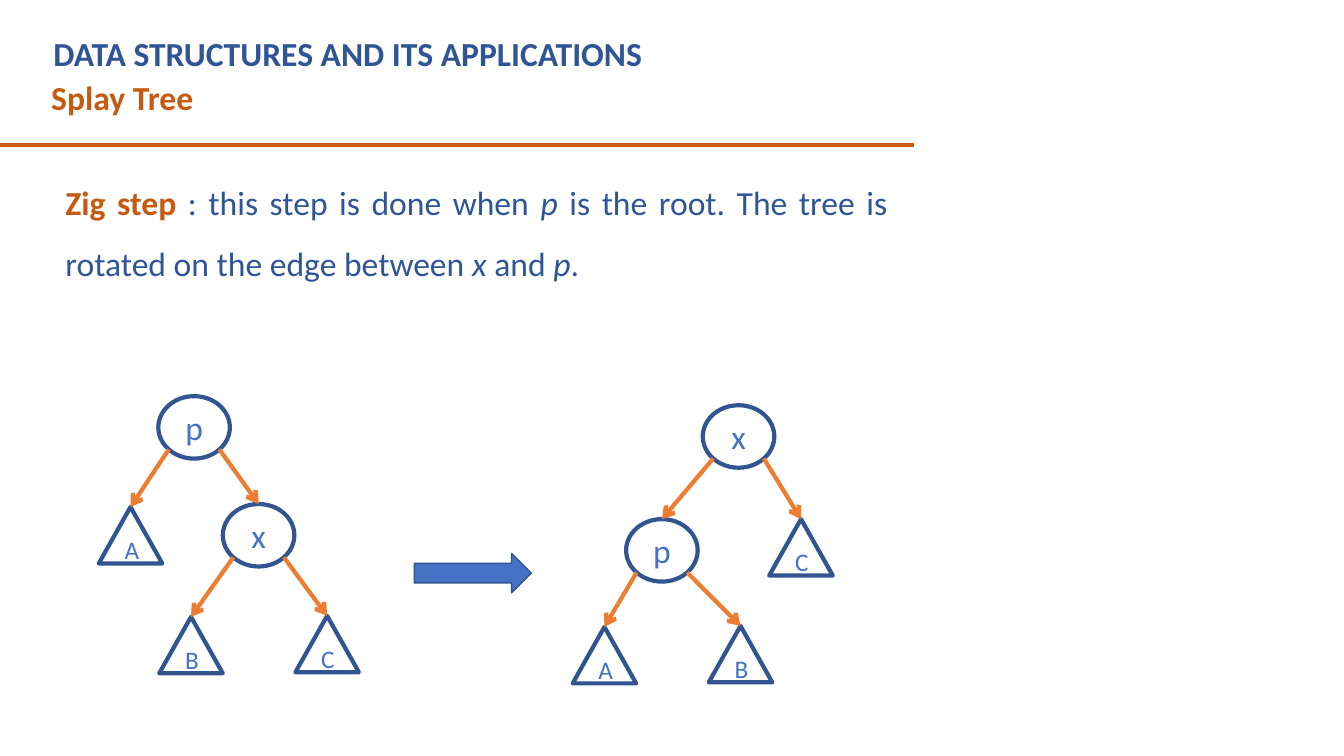
from lxml import etree
from pptx import Presentation
from pptx.dml.color import RGBColor
from pptx.enum.shapes import MSO_CONNECTOR, MSO_SHAPE
from pptx.enum.text import MSO_ANCHOR, PP_ALIGN
from pptx.oxml.ns import qn
from pptx.util import Inches, Pt

NAVY, ORANGE = "2F5597", "C55A11"
OUTLINE, BLUE, EDGE = "325491", "4472C4", "ED7D31"
NODE_SIZE, SUBTREE_SIZE = (0.71, 0.62), (0.63, 0.56)
DIAGONAL = 0.5 ** 0.5 / 2  # offset of a 45° point on an ellipse, as a share of its size

# Each tree is (label, left, top, children); a subtree triangle has no children.
TREE_BEFORE = ("p", 1.57, 3.93, [
    ("A", 0.98, 5.03, []),
    ("x", 2.21, 5.0, [("B", 1.58, 6.12, []), ("C", 2.93, 6.11, [])]),
])
TREE_AFTER = ("x", 6.97, 4.02, [
    ("p", 6.21, 5.15, [("A", 5.68, 6.22, []), ("B", 7.03, 6.21, [])]),
    ("C", 7.63, 5.15, []),
])


def rgb(color):
    return RGBColor.from_string(color)


def add_run(p, text, color, size=24, bold=False, italic=False):
    r = p.add_run()
    r.text = text
    font = r.font
    font.name, font.size = "Calibri", Pt(size)
    font.bold, font.italic = bold, italic
    font.color.rgb = rgb(color)


def add_textbox(s, left, top, width, height):
    tf = s.shapes.add_textbox(Inches(left), Inches(top), Inches(width), Inches(height)).text_frame
    tf.word_wrap = True
    return tf


def add_title(s, text):
    title = s.shapes.title
    title.left, title.top = Inches(0.43), Inches(0.28)
    title.width, title.height = Inches(8.2), Inches(0.5)
    tf = title.text_frame
    tf.vertical_anchor = MSO_ANCHOR.TOP
    p = tf.paragraphs[0]
    p.alignment, p.line_spacing = PP_ALIGN.LEFT, 1.0
    p.space_before = Pt(0)
    add_run(p, text, NAVY, bold=True)


def add_explanation(s):
    tf = add_textbox(s, 0.55, 1.6, 8.35, 1.21)
    tf.margin_top = tf.margin_bottom = 0
    tf.vertical_anchor = MSO_ANCHOR.MIDDLE
    p = tf.paragraphs[0]
    p.alignment, p.line_spacing, p.space_after = PP_ALIGN.JUSTIFY, 1.5, Pt(6)
    add_run(p, "Zig step ", ORANGE, bold=True)
    for text, italic in [
        (": this step is done when ", False), ("p", True),
        (" is the root. The tree is rotated on the edge between ", False), ("x", True),
        (" and ", False), ("p", True), (".", False),
    ]:
        add_run(p, text, NAVY, italic=italic)


def add_line(shapes, start, end, color):
    line = shapes.add_connector(MSO_CONNECTOR.STRAIGHT, *map(Inches, start + end))
    line.line.color.rgb = rgb(color)
    line.line.width = Pt(3)
    etree.SubElement(line._element.spPr, qn("a:effectLst"))
    return line


def add_outlined(shapes, kind, left, top, size, line_width, fill=None):
    shape = shapes.add_shape(kind, Inches(left), Inches(top), *map(Inches, size))
    shape.shadow.inherit = False
    if fill:
        shape.fill.solid()
        shape.fill.fore_color.rgb = rgb(fill)
    else:
        shape.fill.background()
    shape.line.color.rgb = rgb(OUTLINE)
    shape.line.width = Pt(line_width)
    return shape


def add_edge(shapes, start, child):
    """Draw an arrow from a point on the parent to the top of the child."""
    edge = add_line(shapes, start, start, EDGE)
    edge.end_connect(child, 0)
    etree.SubElement(edge.line._get_or_add_ln(), qn("a:tailEnd"), type="arrow")


def add_tree(shapes, tree):
    """Draw a node and everything below it, and return the node's shape."""
    label, left, top, children = tree
    kind, size, font_size = (
        (MSO_SHAPE.OVAL, NODE_SIZE, 24) if children
        else (MSO_SHAPE.ISOSCELES_TRIANGLE, SUBTREE_SIZE, 18)
    )
    node = add_outlined(shapes, kind, left, top, size, 3)
    tf = node.text_frame
    tf.vertical_anchor = MSO_ANCHOR.MIDDLE
    p = tf.paragraphs[0]
    p.alignment = PP_ALIGN.CENTER
    add_run(p, label, BLUE, font_size)

    width, height = size
    for side, child in zip((-1, 1), children):
        start = (left + width * (0.5 + side * DIAGONAL), top + height * (0.5 + DIAGONAL))
        add_edge(shapes, start, add_tree(shapes, child))
    return node


def main():
    prs = Presentation()
    prs.slide_width, prs.slide_height = Inches(13.33), Inches(7.5)
    s = prs.slides.add_slide(prs.slide_layouts[5])
    add_title(s, "DATA STRUCTURES AND ITS APPLICATIONS")
    subtitle = add_textbox(s, 0.41, 0.71, 8.75, 0.5)
    add_run(subtitle.paragraphs[0], "Splay Tree", ORANGE, bold=True)
    add_line(s.shapes, (0, 1.44), (9.07, 1.44), ORANGE)
    add_explanation(s)
    add_tree(s.shapes.add_group_shape().shapes, TREE_AFTER)
    add_outlined(s.shapes, MSO_SHAPE.RIGHT_ARROW, 4.11, 5.49, (1.16, 0.39), 1, BLUE)
    add_tree(s.shapes.add_group_shape().shapes, TREE_BEFORE)
    prs.save("out.pptx")


if __name__ == "__main__":
    main()
